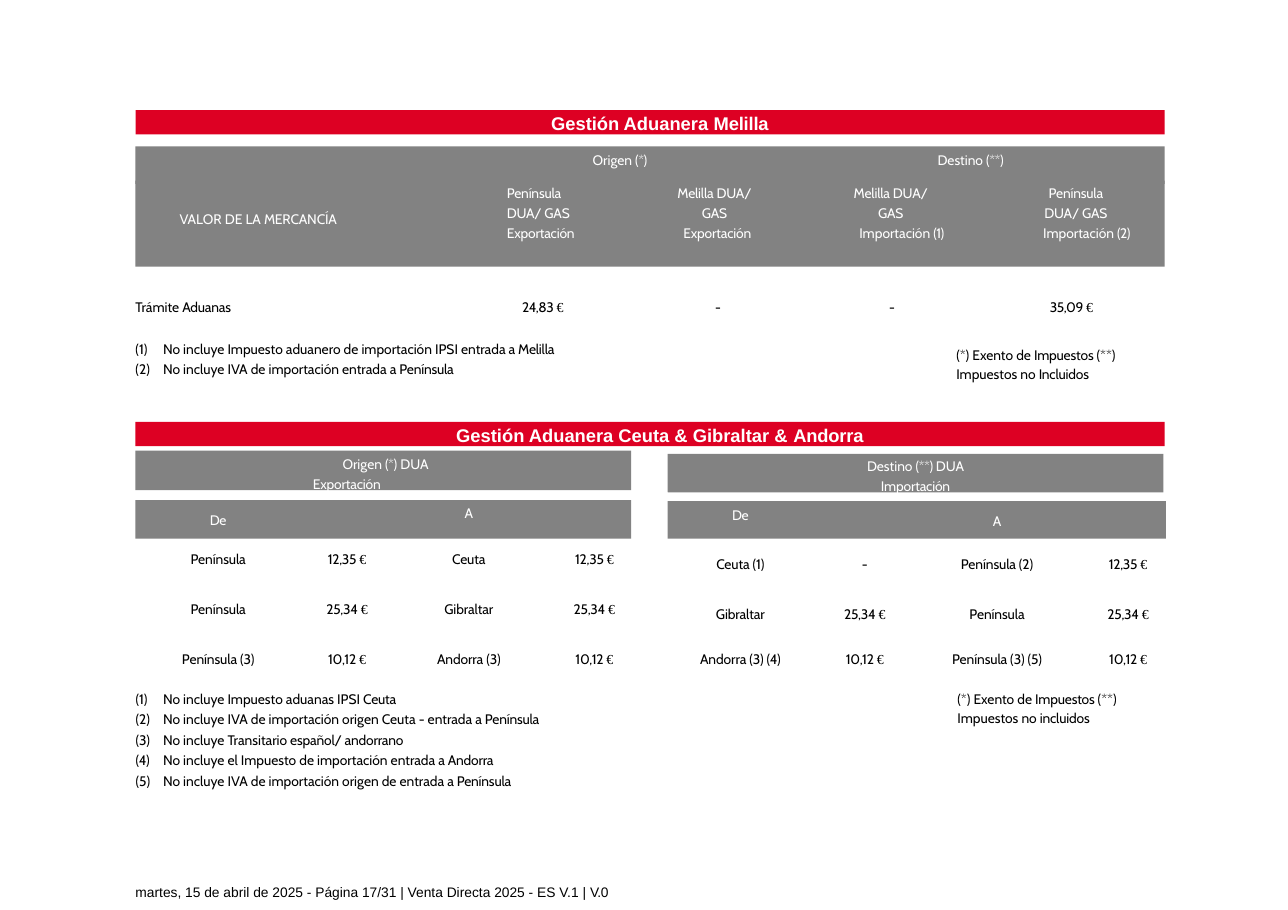
from dataclasses import dataclass
from typing import NamedTuple, Optional

import pptx
import pptx.dml.color
import pptx.enum.shapes
import pptx.enum.text
import pptx.oxml.ns
import pptx.util
from lxml import etree
from pptx.util import Inches

RED = pptx.dml.color.RGBColor(0xDD, 0x00, 0x23)
GRAY = pptx.dml.color.RGBColor(0x82, 0x82, 0x82)
WHITE = pptx.dml.color.RGBColor(0xFF, 0xFF, 0xFF)
BLACK = pptx.dml.color.RGBColor(0x00, 0x00, 0x00)
LEFT = pptx.enum.text.PP_ALIGN.LEFT
CENTER = pptx.enum.text.PP_ALIGN.CENTER
NO_TABLE_STYLE = "{2D5ABB26-0587-4C30-8999-92F81FD0307C}"
qn = pptx.oxml.ns.qn


class Run(NamedTuple):
    text: str
    spacing: float = 0
    font: str = "Cabin"
    size: float = 9
    bold: bool = False


class Box(NamedTuple):
    left: float
    top: float
    width: float
    height: float


@dataclass
class Line:
    """One paragraph; lengths in inches, spacing before in points."""
    runs: list[Run]
    align: int = LEFT
    margin: float = 0
    indent: float = 0
    before: float = 1.4
    spacing: Optional[float] = None
    exact: bool = False
    numbered: bool = False


BREAK = Run("\n")


def write_run(paragraph, run: Run, color) -> None:
    if run == BREAK:
        paragraph.add_line_break()
        line_break = paragraph._p.findall(qn("a:br"))[-1]
        etree.SubElement(line_break, qn("a:rPr"), sz=str(run.size * 100))
        return
    text_run = paragraph.add_run()
    text_run.text = run.text
    text_run.font.name = run.font
    text_run.font.size = pptx.util.Pt(run.size)
    text_run.font.bold = run.bold
    text_run.font.color.rgb = color
    text_run._r.get_or_add_rPr().set("spc", str(round(run.spacing * 100)))


def write_lines(frame, lines: list[Line], color) -> None:
    for index, line in enumerate(lines):
        paragraph = frame.add_paragraph() if index else frame.paragraphs[0]
        paragraph.alignment = line.align
        paragraph.space_before = pptx.util.Pt(line.before)
        if line.spacing:
            paragraph.line_spacing = pptx.util.Pt(line.spacing) if line.exact else line.spacing
        properties = paragraph._p.get_or_add_pPr()
        properties.set("marL", str(Inches(line.margin)))
        properties.set("indent", str(Inches(line.indent)))
        if line.numbered:
            etree.SubElement(properties, qn("a:buFont"), typeface="Cabin")
            etree.SubElement(properties, qn("a:buAutoNum"), type="arabicParenBoth")
        for run in line.runs:
            write_run(paragraph, run, color)


def fill_frame(shape, lines: list[Line], color, inset: float = 0.02) -> None:
    frame = shape.text_frame
    frame.word_wrap = True
    frame.auto_size = pptx.enum.text.MSO_AUTO_SIZE.NONE
    frame.vertical_anchor = pptx.enum.text.MSO_ANCHOR.TOP
    frame.margin_left = frame.margin_right = frame.margin_bottom = 0
    frame.margin_top = Inches(inset)
    write_lines(frame, lines, color)


def add_text(slide, box: Box, lines: list[Line], color=BLACK, inset: float = 0.02) -> None:
    shape = slide.shapes.add_textbox(*map(Inches, box))
    fill_frame(shape, lines, color, inset)


def add_bar(slide, box: Box, fill, lines: Optional[list[Line]] = None, inset: float = 0.02) -> None:
    rectangle = pptx.enum.shapes.MSO_SHAPE.RECTANGLE
    shape = slide.shapes.add_shape(rectangle, *map(Inches, box))
    shape.shadow.inherit = False
    shape.fill.solid()
    shape.fill.fore_color.rgb = fill
    shape.line.fill.background()
    if lines:
        fill_frame(shape, lines, WHITE, inset)


def banner_line(start: str, end: str) -> Line:
    runs = [Run(start, 0, "Arial", 12, True), Run(end, -0.1, "Arial", 12, True)]
    return Line(runs, CENTER, margin=0.18, before=1.3)


def note(start: str, end: str, before: float = 2.5) -> Line:
    return Line([Run(start), Run(end, -0.1)], margin=0.27, indent=-0.25,
                before=before, numbered=True)


def price(amount: str, spacing: float = -0.2, euro_spacing: float = -0.5) -> list[Run]:
    return [Run(amount + " ", spacing), Run("€", euro_spacing, "Times New Roman")]


def tax_legend(last_word: str) -> list[Line]:
    runs = [Run("(*) Exento de "), Run("Impuestos ", -0.1),
            Run("(**) Impuestos no "), Run(last_word, -0.1)]
    return [Line(runs, margin=0.02, spacing=1.18)]


class ColumnHeading(NamedTuple):
    box: Box
    first: str
    second: str
    operation: list[Run]
    align: int
    margin: float
    operation_margin: float


EXPORT = [Run("Exportación", -0.1)]


def import_runs(number: str) -> list[Run]:
    return [Run("Importación "), Run(number, -0.3)]


HEADINGS = [
    ColumnHeading(Box(4.54, 1.63, 0.85, 0.56), "Península", "DUA/ ", EXPORT, LEFT, 0.06, 0.06),
    ColumnHeading(Box(6.06, 1.63, 0.85, 0.56), "Melilla DUA/", "", EXPORT, CENTER, 0, 0.05),
    ColumnHeading(Box(7.52, 1.63, 1.13, 0.56), "Melilla DUA/", "", import_runs("(1)"), CENTER, 0, 0.2),
    ColumnHeading(Box(9.2, 1.63, 1.13, 0.56), "Península", "DUA/ ", import_runs("(2)"), CENTER, 0, 0.2),
]
DIRECTIONS = ((5.38, "Origen ", "(*)"), (8.51, "Destino ", "(**)"))
PROCEDURE_VALUES = ((4.72, "24,83"), (6.47, "-"), (8.05, "-"), (9.51, "35,09"))


class Half(NamedTuple):
    """Vertical placement shared by half a table row."""
    inset: float
    before: float
    exact: Optional[float] = None


class Row(NamedTuple):
    height: float
    halves: tuple[Half, Half]
    texts: tuple[str, ...]


COLUMN_WIDTHS = (1.38, 0.95, 1.27, 1.01, 1.54, 0.82, 1.58, 0.74)
COLUMN_MARGINS = (0, 0.01, 0, 0, 0.1, 0, 0, 0.06)
HEADER = ((0, "De", Half(0, 0, 8.8)), (2, "A", Half(0.04, 2)),
          (4, "De", Half(0.05, 2.8)), (6, "A", Half(0.11, 5.6)))
HEADER_HEIGHT = 0.38
ROWS = [
    Row(0.43, (Half(0.07, 3.4), Half(0.12, 6)),
        ("Península", "12,35", "Ceuta", "12,35", "Ceuta (1)", "-", "Península (2)", "12,35")),
    Row(0.46, (Half(0.1, 5.3), Half(0.14, 6.9)),
        ("Península", "25,34", "Gibraltar", "25,34", "Gibraltar", "25,34", "Península", "25,34")),
    Row(0.32, (Half(0.11, 5.8, 9.3), Half(0.12, 6.3, 8.8)),
        ("Península (3)", "10,12", "Andorra (3)", "10,12",
         "Andorra (3) (4)", "10,12", "Península (3) (5)", "10,12")),
]


def write_cell(cell, runs: list[Run], half: Half, margin: float, color) -> None:
    cell.margin_top = Inches(half.inset)
    line = Line(runs, CENTER, margin, before=half.before, spacing=half.exact, exact=True)
    write_lines(cell.text_frame, [line], color)


def add_rate_table(slide) -> None:
    frame = slide.shapes.add_table(len(ROWS) + 1, len(COLUMN_WIDTHS), Inches(1.29),
                                   Inches(4.55), Inches(9.29), Inches(1.59))
    table = frame.table
    table.first_row = table.horz_banding = False
    next(frame.element.iter(qn("a:tableStyleId"))).text = NO_TABLE_STYLE
    for column, width in zip(table.columns, COLUMN_WIDTHS):
        column.width = Inches(width)
    for row, height in zip(table.rows, [HEADER_HEIGHT] + [row.height for row in ROWS]):
        row.height = Inches(height)
    for cell in table.iter_cells():
        cell.margin_left = cell.margin_right = cell.margin_top = cell.margin_bottom = 0
        cell.fill.background()
    for column in range(4, 8):
        table.cell(0, column).fill.solid()
        table.cell(0, column).fill.fore_color.rgb = GRAY
    for column, text, half in HEADER:
        write_cell(table.cell(0, column), [Run(text, -0.2)], half, COLUMN_MARGINS[column], WHITE)
    table.cell(0, 0).vertical_anchor = pptx.enum.text.MSO_ANCHOR.MIDDLE
    for index, row in enumerate(ROWS, start=1):
        for column, text in enumerate(row.texts):
            runs = price(text) if text[0].isdigit() else [Run(text, -0.05)]
            write_cell(table.cell(index, column), runs, row.halves[column // 4],
                       COLUMN_MARGINS[column], BLACK)


def add_melilla_section(slide) -> None:
    title = slide.shapes.title
    title.left, title.top, title.width, title.height = map(Inches, Box(1.23, 1, 9.34, 0.22))
    title.fill.solid()
    title.fill.fore_color.rgb = RED
    fill_frame(title, [banner_line("Gestión Aduanera ", "Melilla")], WHITE)
    add_bar(slide, Box(1.23, 1.33, 9.34, 0.34), GRAY)
    add_bar(slide, Box(1.23, 1.64, 9.34, 0.78), GRAY)
    for left, direction, mark in DIRECTIONS:
        add_text(slide, Box(left, 1.36, 0.9, 0.17), [Line([Run(direction), Run(mark, -0.3)])], WHITE)
    add_text(slide, Box(1.63, 1.89, 2.08, 0.17),
             [Line([Run("VALOR DE LA "), Run("MERCANCÍA", -0.1)])], WHITE)
    for heading in HEADINGS:
        route = [Run(heading.first, -0.1), BREAK, Run(heading.second + "GAS", -0.15)]
        add_text(slide, heading.box, [
            Line(route, heading.align, heading.margin, spacing=1.18),
            Line(heading.operation, heading.align, heading.operation_margin, before=2.4),
        ], WHITE)
    add_text(slide, Box(1.21, 2.69, 3.4, 0.17),
             [Line([Run("Trámite "), Run("Aduanas", -0.1)], margin=0.02)])
    for left, value in PROCEDURE_VALUES:
        runs = [Run(value, -0.7)] if value == "-" else price(value, -0.3, -0.7)
        add_text(slide, Box(left, 2.69, 0.54, 0.17), [Line(runs, margin=0.02)])
    add_text(slide, Box(1.21, 3.07, 5.34, 0.36), [
        note("No incluye Impuesto aduanero de importación IPSI entrada a ", "Melilla"),
        note("No incluye IVA de importación entrada a ", "Península"),
    ])
    add_text(slide, Box(8.66, 3.1, 2, 0.36), tax_legend("Incluidos"))


def add_ceuta_section(slide) -> None:
    add_bar(slide, Box(1.23, 3.83, 9.34, 0.22), RED,
            [banner_line("Gestión Aduanera Ceuta & Gibraltar & ", "Andorra")])
    origin = [Run("Origen "), Run("(*)", -0.3), Run(" DUA"), BREAK, *EXPORT]
    add_bar(slide, Box(1.23, 4.09, 4.5, 0.36), GRAY,
            [Line(origin, margin=1.61, indent=0.27, before=1.7, spacing=1.18)])
    destination = [Run("Destino "), Run("(**) ", -0.3), Run("DUA"), BREAK, Run("Importación", -0.1)]
    add_bar(slide, Box(6.06, 4.12, 4.5, 0.35), GRAY,
            [Line(destination, CENTER, before=0.6, spacing=1.18)], inset=0.01)
    add_bar(slide, Box(1.23, 4.54, 4.5, 0.35), GRAY)
    add_bar(slide, Box(6.06, 4.62, 4.5, 0.34), GRAY)
    add_rate_table(slide)
    add_bar(slide, Box(5.85, 4.47, 0.21, 0.61), WHITE)
    add_bar(slide, Box(5.85, 4.89, 4.74, 0.13), WHITE)
    add_text(slide, Box(1.21, 6.22, 5.11, 0.92), [
        note("No incluye Impuesto aduanas IPSI ", "Ceuta", 3.8),
        note("No incluye IVA de importación origen Ceuta - entrada a ", "Península"),
        note("No incluye Transitario ", "español/ andorrano"),
        note("No incluye el Impuesto de importación entrada a ", "Andorra"),
        note("No incluye IVA de importación origen de entrada a ", "Península"),
    ], inset=0.05)
    add_text(slide, Box(8.67, 6.22, 2, 0.36), tax_legend("incluidos"))


def main() -> None:
    presentation = pptx.Presentation()
    presentation.slide_width = Inches(11.69)
    presentation.slide_height = Inches(8.26)
    slide = presentation.slides.add_slide(presentation.slide_layouts[5])
    add_melilla_section(slide)
    add_ceuta_section(slide)
    footer = [Run("martes, 15 de abril de 2025 - Página 17/31 | Venta Directa 2025 - ES V.1 | ", 0, "Arial"),
              Run("V.0", -0.3, "Arial")]
    add_text(slide, Box(1.21, 7.94, 9.34, 0.23), [Line(footer, margin=0.02, before=5.5)], inset=0.08)
    presentation.save("out.pptx")


if __name__ == "__main__":
    main()
